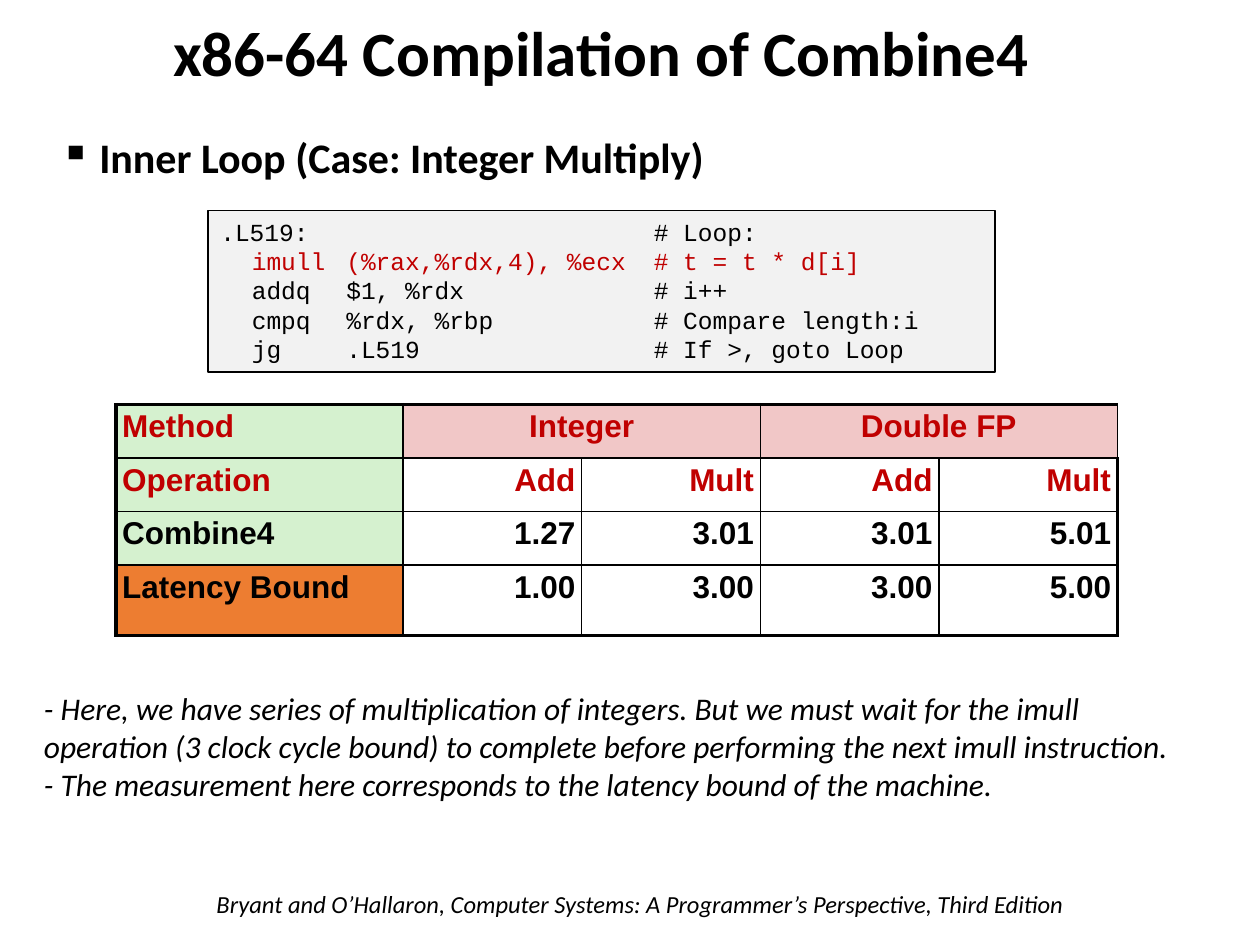
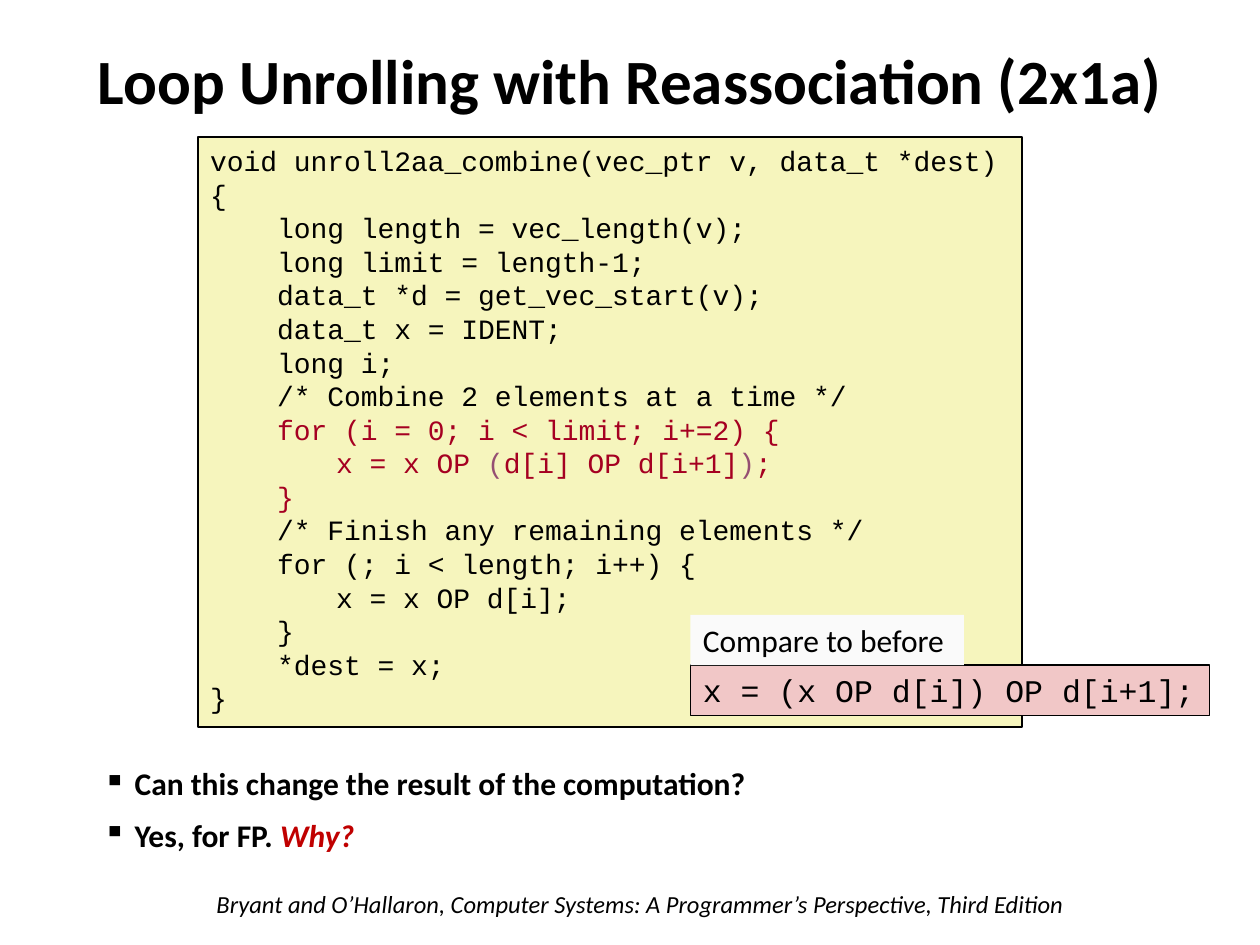
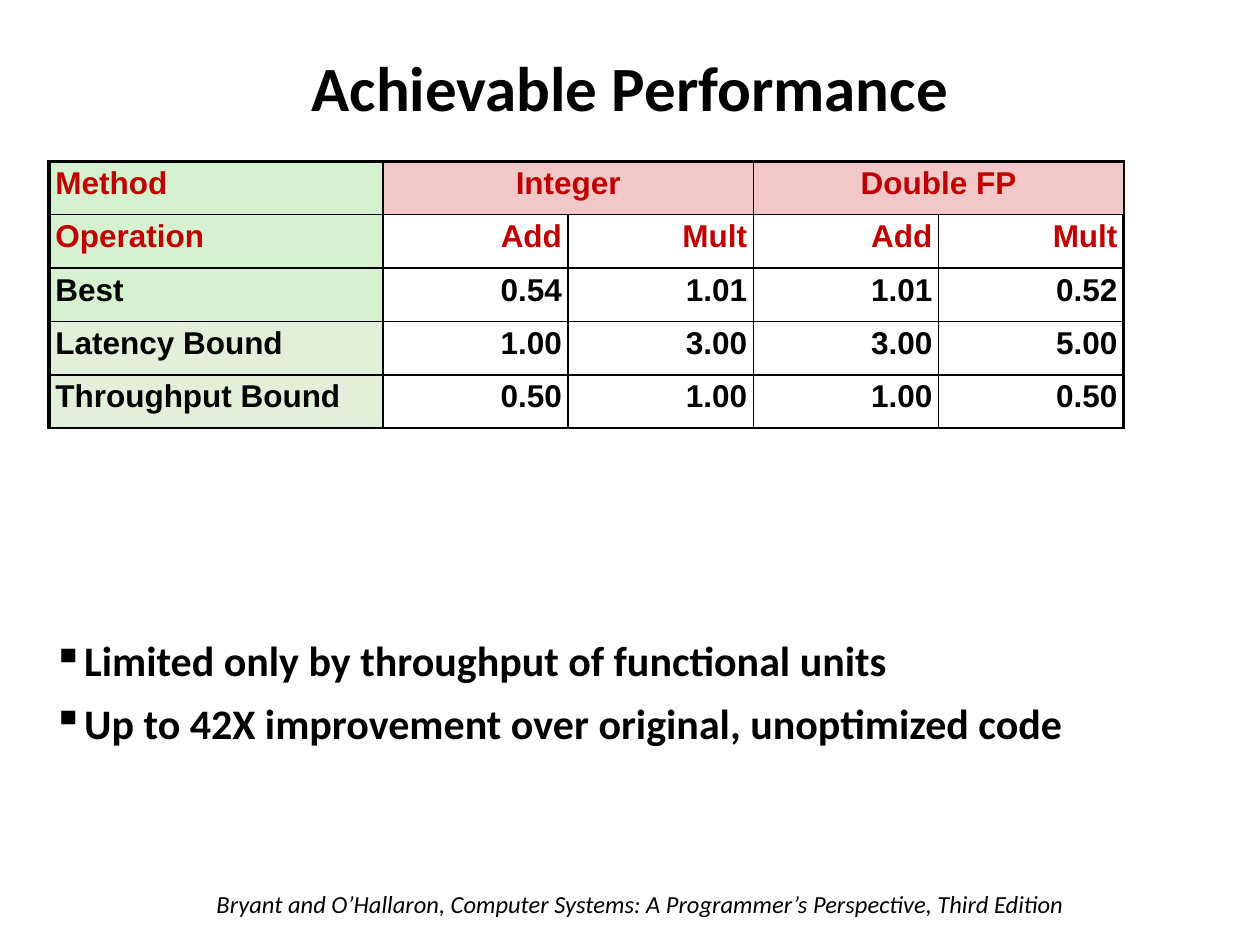
"""Build three slides on loop optimisation and its measured performance."""
import dataclasses

import pptx
import pptx.dml.color
import pptx.enum.shapes
import pptx.enum.text
import pptx.oxml
import pptx.oxml.ns
import pptx.util

ALIGN = pptx.enum.text.PP_ALIGN
ANCHOR = pptx.enum.text.MSO_ANCHOR
AUTO_SIZE = pptx.enum.text.MSO_AUTO_SIZE
FOOTER = "Bryant and O’Hallaron, Computer Systems: A Programmer’s Perspective, Third Edition"


@dataclasses.dataclass(frozen=True)
class Theme:
    black: str = "000000"
    red: str = "C00000"
    code_red: str = "A50021"
    code_purple: str = "954F72"
    grey: str = "F2F2F2"
    pale: str = "FAFAFA"
    yellow: str = "F6F5BD"
    pink: str = "F1C7C7"
    green: str = "D5F1CF"
    light_green: str = "E2F0D9"
    orange: str = "ED7D31"
    body_font: str = "Calibri"
    table_font: str = "Arial"
    code_font: str = "Courier New"
    title_size: int = 36
    large_size: int = 24
    text_size: int = 18
    code_size: int = 16
    small_size: int = 14
    thin: float = 1
    thick: float = 2.25


THEME = Theme()


def rgb(colour):
    return pptx.dml.color.RGBColor.from_string(colour)


def new_element(tag, **attributes):
    element = pptx.oxml.parse_xml(f"<a:{tag} {pptx.oxml.ns.nsdecls('a')}/>")
    for name, value in attributes.items():
        element.set(name, str(value))
    return element


class Deck:
    COLUMNS = 100
    ROWS = 75

    def __init__(self, theme):
        self.theme = theme
        self.presentation = pptx.Presentation()
        self.presentation.slide_width = pptx.util.Inches(10)
        self.presentation.slide_height = pptx.util.Inches(7.5)
        self.slide = None

    def across(self, columns):
        return round(self.presentation.slide_width * columns / self.COLUMNS)

    def down(self, rows):
        return round(self.presentation.slide_height * rows / self.ROWS)

    def place(self, left, top, width, height):
        return self.across(left), self.down(top), self.across(width), self.down(height)

    def fill_text(self, frame, paragraphs, size, font=None, colour=None, bold=False,
                  italic=False, align=ALIGN.LEFT, spacing=None, gap=0, hang=0, tabs=()):
        for index, runs in enumerate(paragraphs):
            paragraph = frame.add_paragraph() if index else frame.paragraphs[0]
            properties = paragraph._p.get_or_add_pPr()
            if hang:
                properties.set("marL", str(self.across(hang)))
                properties.set("indent", str(-self.across(hang)))
                properties.append(new_element("buChar", char="▪"))
            if tabs:
                stops = new_element("tabLst")
                for stop in tabs:
                    stops.append(new_element("tab", pos=self.across(stop), algn="l"))
                properties.append(stops)
            paragraph.alignment = align
            if spacing:
                paragraph.line_spacing = spacing
            if index and gap:
                paragraph.space_before = pptx.util.Pt(gap)
            for item in [runs] if isinstance(runs, str) else runs:
                text, run_colour, run_italic = (
                    (item, None, italic) if isinstance(item, str) else item)
                run = paragraph.add_run()
                run.text = text
                run.font.name = font or self.theme.body_font
                run.font.size = pptx.util.Pt(size)
                run.font.bold = bold
                run.font.italic = run_italic
                run.font.color.rgb = rgb(run_colour or colour or self.theme.black)

    def new_slide(self, title, *area):
        self.slide = self.presentation.slides.add_slide(self.presentation.slide_layouts[5])
        shape = self.slide.shapes.title
        shape.left, shape.top, shape.width, shape.height = self.place(*area)
        frame = shape.text_frame
        frame.auto_size = AUTO_SIZE.NONE
        frame.vertical_anchor = ANCHOR.MIDDLE
        self.fill_text(frame, [title], self.theme.title_size, bold=True,
                       align=ALIGN.CENTER, spacing=0.9)
        self.text([FOOTER], (16.2, 70.1, 71, 3.4), self.theme.small_size, italic=True)

    def text(self, paragraphs, area, size, **style):
        frame = self.slide.shapes.add_textbox(*self.place(*area)).text_frame
        frame.word_wrap = True
        self.fill_text(frame, paragraphs, size, **style)

    def bullets(self, items, area, size, hang=2.5):
        self.text(items, area, size, bold=True, spacing=0.9, gap=10, hang=hang)

    def panel(self, paragraphs, area, size, fill, outlined=True, wrap=False, **style):
        shape = self.slide.shapes.add_shape(
            pptx.enum.shapes.MSO_SHAPE.RECTANGLE, *self.place(*area))
        shape.shadow.inherit = False
        shape.fill.solid()
        shape.fill.fore_color.rgb = rgb(fill)
        if outlined:
            shape.line.color.rgb = rgb(self.theme.black)
            shape.line.width = pptx.util.Pt(self.theme.thin)
        else:
            shape.line.fill.background()
        frame = shape.text_frame
        frame.word_wrap = wrap
        frame.auto_size = AUTO_SIZE.SHAPE_TO_FIT_TEXT
        frame.vertical_anchor = ANCHOR.TOP
        self.fill_text(frame, paragraphs, size, **style)

    def code(self, lines, area, size, fill, tabs=(10, 25), wrap=False):
        self.panel(lines, area, size, fill, wrap=wrap, font=self.theme.code_font, tabs=tabs)

    def border(self, cell, side, width):
        line = new_element(f"ln{side}", w=pptx.util.Pt(width))
        fill = new_element("solidFill")
        fill.append(new_element("srgbClr", val=self.theme.black))
        line.append(fill)
        cell._tc.get_or_add_tcPr().append(line)

    def results_table(self, measurements, left, top, widths, heights, bottom):
        theme = self.theme
        rows = [("Method", "Integer", "", "Double FP", ""),
                ("Operation", "Add", "Mult", "Add", "Mult")]
        rows += [(name, *values) for name, _, *values in measurements]
        label_fills = [theme.green, theme.green] + [row[1] for row in measurements]
        last_row, last_column = len(rows) - 1, len(widths) - 1
        area = self.place(left, top, sum(widths), sum(heights))
        table = self.slide.shapes.add_table(len(rows), len(widths), *area).table
        table.first_row = table.horz_banding = False
        for column, width in zip(table.columns, widths):
            column.width = self.across(width)
        for row, height in zip(table.rows, heights):
            row.height = self.down(height)
        for start in (1, 3):
            table.cell(0, start).merge(table.cell(0, start + 1))
        for r, values in enumerate(rows):
            for c, value in enumerate(values):
                cell = table.cell(r, c)
                cell.margin_left = cell.margin_right = self.across(0.5)
                cell.margin_top = cell.margin_bottom = self.down(0.5)
                self.border(cell, "L", theme.thin if c else theme.thick)
                self.border(cell, "R", theme.thick if c == last_column else theme.thin)
                self.border(cell, "T", theme.thin if r else theme.thick)
                self.border(cell, "B", bottom if r == last_row else theme.thin)
                fill = label_fills[r] if c == 0 else None if r else theme.pink
                if fill:
                    cell.fill.solid()
                    cell.fill.fore_color.rgb = rgb(fill)
                else:
                    cell.fill.background()
                if value:
                    align = ALIGN.LEFT if c == 0 else ALIGN.RIGHT if r else ALIGN.CENTER
                    self.fill_text(cell.text_frame, [value], theme.text_size,
                                   font=theme.table_font, bold=True, align=align,
                                   spacing=0.95, colour=theme.red if r < 2 else theme.black)


def compilation_slide(deck):
    theme = deck.theme
    deck.new_slide("x86-64 Compilation of Combine4", 6.2, 0.3, 83, 8.3)
    deck.bullets(["Inner Loop (Case: Integer Multiply)"], (3.8, 10.4, 90.3, 7.5),
                 theme.large_size, hang=3.1)
    deck.code([
        ".L519:\t\t# Loop:",
        ["\t", ("imull\t(%rax,%rdx,4), %ecx\t# t = t * d[i]", theme.red, False)],
        "\taddq\t$1, %rdx\t# i++",
        "\tcmpq\t%rdx, %rbp\t# Compare length:i",
        "\tjg\t.L519\t# If >, goto Loop",
    ], (16.5, 16.7, 62.5, 12.8), theme.small_size, theme.grey, tabs=(2.5, 10, 34.4), wrap=True)
    deck.results_table([
        ("Combine4", theme.green, "1.27", "3.01", "3.01", "5.01"),
        ("Latency Bound", theme.orange, "1.00", "3.00", "3.00", "5.00"),
    ], 9.2, 32.1, [22.8] + [14.17] * 4, [4.25] * 3 + [5.6], theme.thick)
    deck.text([
        "- Here, we have series of multiplication of integers. But we must wait for the imull "
        "operation (3 clock cycle bound) to complete before performing the next imull "
        "instruction.",
        "- The measurement here corresponds to the latency bound of the machine.",
    ], (2.5, 54.2, 92.8, 13.1), theme.text_size, italic=True)


def reassociation_slide(deck):
    theme = deck.theme
    red, purple = theme.code_red, theme.code_purple
    deck.new_slide("Loop Unrolling with Reassociation (2x1a)", 6, 2.5, 88, 8.3)
    deck.bullets([
        "Can this change the result of the computation?",
        ["Yes, for FP. ", ("Why?", theme.red, True)],
    ], (7.2, 60.5, 86.8, 6.3), theme.text_size)
    deck.code([
        "void unroll2aa_combine(vec_ptr v, data_t *dest)",
        "{",
        "    long length = vec_length(v);",
        "    long limit = length-1;",
        "    data_t *d = get_vec_start(v);",
        "    data_t x = IDENT;",
        "    long i;",
        "    /* Combine 2 elements at a time */",
        ["    ", ("for (i = 0; i < limit; i+=2) {", red, False)],
        [("\tx = x OP ", red, False), ("(", purple, False), ("d[i] OP d[i+1]", red, False),
         (")", purple, False), (";", red, False)],
        [("    }", red, False)],
        "    /* Finish any remaining elements */",
        "    for (; i < length; i++) {",
        "\tx = x OP d[i];",
        "    }",
        "    *dest = x;",
        "}",
    ], (15.7, 10.9, 65.4, 46.8), theme.code_size, theme.yellow)
    deck.code(["x = (x OP d[i]) OP d[i+1];"], (54.8, 52.8, 41.2, 4), theme.text_size, theme.pink)
    deck.panel(["Compare to before"], (54.8, 48.8, 21.7, 4), theme.text_size, theme.pale,
               outlined=False)


def performance_slide(deck):
    theme = deck.theme
    deck.new_slide("Achievable Performance", 0, 0, 100, 14.5)
    deck.bullets([
        "Limited only by throughput of functional units",
        "Up to 42X improvement over original, unoptimized code",
    ], (3.2, 50.3, 90.9, 20.5), theme.large_size)
    deck.results_table([
        ("Best", theme.green, "0.54", "1.01", "1.01", "0.52"),
        ("Latency Bound", theme.light_green, "1.00", "3.00", "3.00", "5.00"),
        ("Throughput Bound", theme.light_green, "0.50", "1.00", "1.00", "0.50"),
    ], 3.9, 12.8, [26.5] + [14.7] * 4, [4.24] * 5, theme.thin)


def main():
    deck = Deck(THEME)
    compilation_slide(deck)
    reassociation_slide(deck)
    performance_slide(deck)
    deck.presentation.save("out.pptx")


if __name__ == "__main__":
    main()
